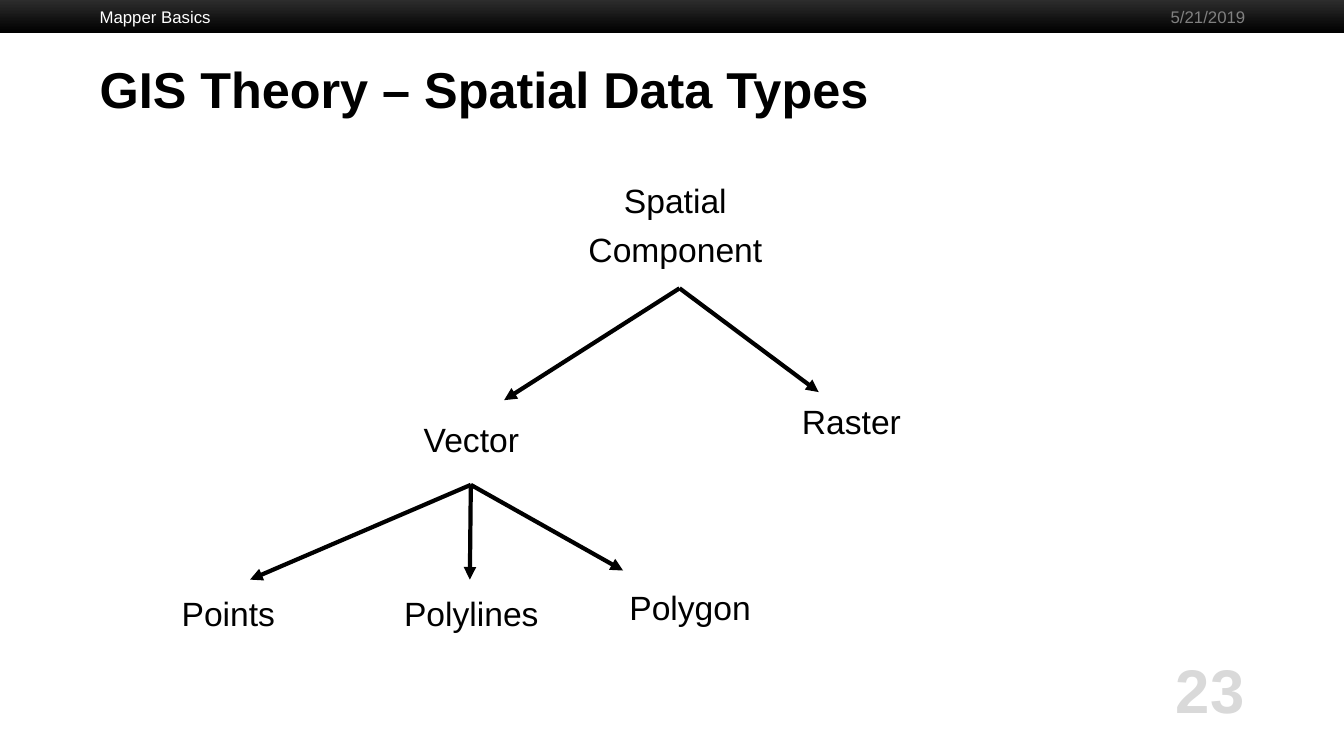
from dataclasses import dataclass

from lxml.etree import SubElement
from pptx import Presentation
from pptx.dml.color import RGBColor
from pptx.enum.shapes import MSO_CONNECTOR, MSO_SHAPE
from pptx.enum.text import MSO_ANCHOR, PP_ALIGN
from pptx.oxml.ns import qn
from pptx.util import Inches, Pt


@dataclass(frozen=True)
class Theme:
    font: str = "Arial"
    black: str = "000000"
    white: str = "FFFFFF"
    band_top: str = "333333"
    date: str = "808080"
    number: str = "D9D9D9"
    small: int = 12
    node: int = 24
    title: int = 36
    page: int = 44
    line: int = 3
    gap: int = 6


class SlideBuilder:
    """Draws styled elements on one slide."""

    def __init__(self, s, theme):
        self.s = s
        self.theme = theme

    def band(self, left, top, width, height):
        sp = self.s.shapes.add_shape(
            MSO_SHAPE.RECTANGLE, Inches(left), Inches(top), Inches(width), Inches(height))
        sp.shadow.inherit = False
        sp.line.fill.background()
        sp.fill.gradient()
        sp.fill.gradient_angle = 270
        colors = (self.theme.band_top, self.theme.black)
        for stop, color, position in zip(sp.fill.gradient_stops, colors, (0, 1)):
            stop.color.rgb = RGBColor.from_string(color)
            stop.position = position

    def text(self, lines, box, size, color, bold=False,
             align=PP_ALIGN.LEFT, anchor=MSO_ANCHOR.MIDDLE):
        sp = self.s.shapes.add_textbox(*map(Inches, box))
        tf = sp.text_frame
        tf.word_wrap = True
        tf.vertical_anchor = anchor
        for i, line in enumerate(lines):
            p = tf.add_paragraph() if i else tf.paragraphs[0]
            p.alignment = align
            if i:
                p.space_before = Pt(self.theme.gap)
            r = p.add_run()
            r.text = line
            r.font.name = self.theme.font
            r.font.size = Pt(size)
            r.font.bold = bold
            r.font.color.rgb = RGBColor.from_string(color)
        return tf

    def node(self, lines, left, top, height=0.7):
        self.text(lines, (left, top, 2.17, height), self.theme.node, self.theme.black,
                  align=PP_ALIGN.CENTER, anchor=MSO_ANCHOR.TOP)

    def arrow(self, start, end):
        sp = self.s.shapes.add_connector(
            MSO_CONNECTOR.STRAIGHT, *map(Inches, start + end))
        sp.line.width = Pt(self.theme.line)
        sp.line.color.rgb = RGBColor.from_string(self.theme.black)
        SubElement(sp.line._get_or_add_ln(), qn("a:tailEnd"), type="triangle")
        SubElement(sp._element.spPr, qn("a:effectLst"))


def main():
    prs = Presentation()
    prs.slide_width, prs.slide_height = Inches(13.33), Inches(7.5)
    theme = Theme()
    slide = SlideBuilder(prs.slides.add_slide(prs.slide_layouts[6]), theme)

    slide.band(0, -0.05, 13.33, 0.38)
    slide.text(["Mapper Basics"], (0.89, 0, 7.44, 0.33), theme.small, theme.white)
    slide.text(["5/21/2019"], (9.67, 0, 2.78, 0.33), theme.small, theme.date,
               align=PP_ALIGN.RIGHT)
    slide.text(["GIS Theory – Spatial Data Types"], (0.89, 0.5, 11.56, 0.75),
               theme.title, theme.black, bold=True)
    tf = slide.text(["23"], (10.33, 6.46, 2.11, 0.75), theme.page, theme.number,
                    bold=True, align=PP_ALIGN.RIGHT)
    tf.margin_top = tf.margin_bottom = 0

    slide.node(["Spatial ", "Component "], 5.66, 1.74, 1.12)
    for label, left, top in (
        ("Vector", 3.59, 4.11),
        ("Raster", 7.36, 3.93),
        ("Points", 1.18, 5.83),
        ("Polylines", 3.59, 5.83),
        ("Polygon", 5.76, 5.77),
    ):
        slide.node([label], left, top)

    branches = {
        (6.74, 2.86): ((5, 3.97), (8.12, 3.89)),
        (4.67, 4.81): ((2.48, 5.75), (4.66, 5.75), (6.18, 5.66)),
    }
    for start, ends in branches.items():
        for end in ends:
            slide.arrow(start, end)

    prs.save("out.pptx")


if __name__ == "__main__":
    main()
